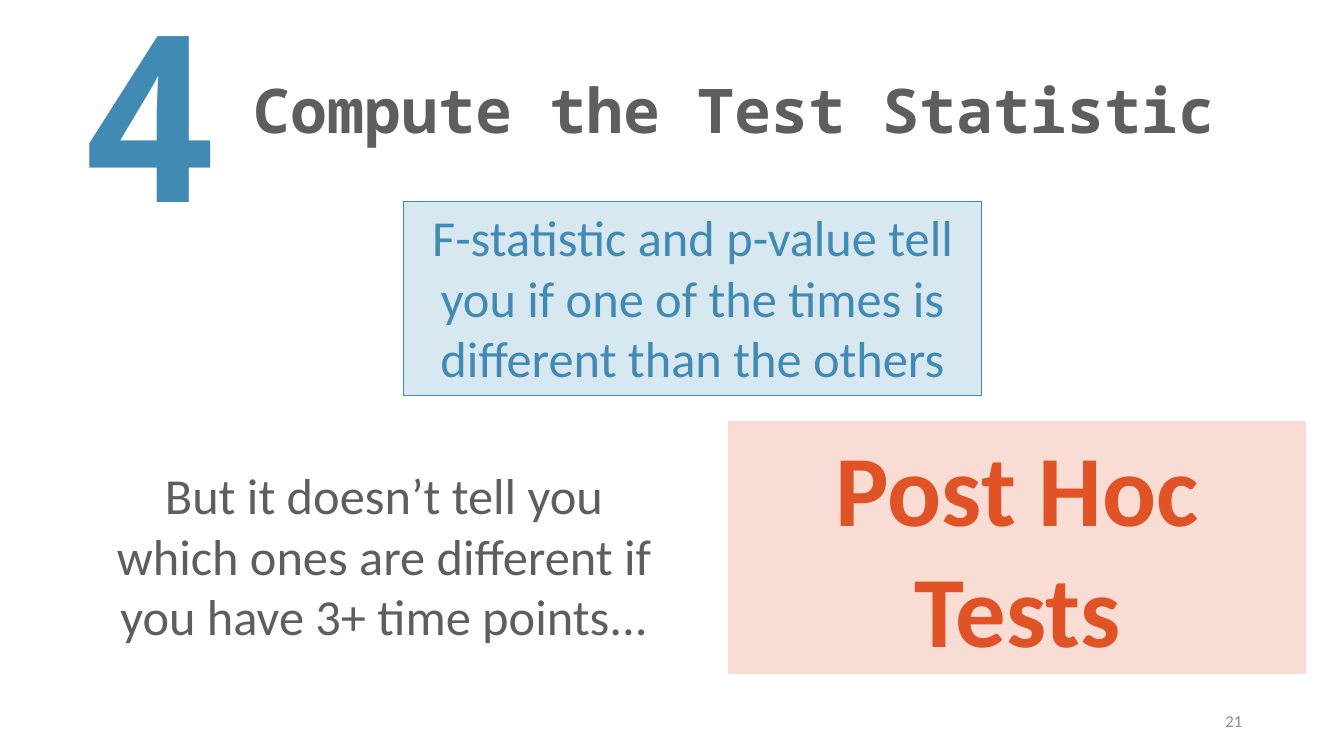
from dataclasses import dataclass

from pptx import Presentation
from pptx.dml.color import RGBColor
from pptx.enum.shapes import MSO_SHAPE
from pptx.enum.text import MSO_ANCHOR, MSO_AUTO_SIZE, PP_ALIGN
from pptx.slide import Slide
from pptx.util import Inches, Pt

COLORS = {
    "white": "FFFFFF",
    "blue": "418AB3",
    "pale_blue": "D8E8F1",
    "orange": "DF5327",
    "pale_orange": "F9DDD4",
    "dark_gray": "5E5E5E",
    "gray": "8C8C8C",
}
BODY_FONT = "Calibri"
HEADING_FONT = "Noto Sans Mono"
CARD_WIDTH = 5.74


@dataclass
class Label:
    text: str
    left: float
    top: float
    width: float
    height: float
    size: float
    color: str
    font: str = BODY_FONT
    bold: bool = False
    align: PP_ALIGN = PP_ALIGN.LEFT
    anchor: MSO_ANCHOR = MSO_ANCHOR.MIDDLE
    wrap: bool = True
    grow: bool = False
    line_spacing: float = 1.0


@dataclass
class Card:
    label: Label
    fill: str
    line: str


def color(name: str) -> RGBColor:
    return RGBColor.from_string(COLORS[name])


def bounds(label: Label) -> list[Inches]:
    return [Inches(n) for n in (label.left, label.top, label.width, label.height)]


def write_label(shape, label: Label) -> None:
    frame = shape.text_frame
    frame.text = label.text
    frame.word_wrap = label.wrap
    frame.auto_size = MSO_AUTO_SIZE.SHAPE_TO_FIT_TEXT if label.grow else MSO_AUTO_SIZE.NONE
    frame.vertical_anchor = label.anchor
    paragraph = frame.paragraphs[0]
    paragraph.alignment = label.align
    paragraph.line_spacing = label.line_spacing
    font = paragraph.runs[0].font
    font.name = label.font
    font.size = Pt(label.size)
    font.bold = label.bold
    font.color.rgb = color(label.color)


def draw_label(slide: Slide, label: Label) -> None:
    write_label(slide.shapes.add_textbox(*bounds(label)), label)


def draw_card(slide: Slide, card: Card) -> None:
    box = slide.shapes.add_shape(MSO_SHAPE.RECTANGLE, *bounds(card.label))
    box.shadow.inherit = False
    box.fill.solid()
    box.fill.fore_color.rgb = color(card.fill)
    box.line.color.rgb = color(card.line)
    box.line.width = Pt(0.75)
    write_label(box, card.label)


def card_label(text: str, left: float, top: float, height: float, size: float,
               text_color: str, bold: bool = False) -> Label:
    return Label(text, left, top, CARD_WIDTH, height, size, text_color, bold=bold,
                 align=PP_ALIGN.CENTER, anchor=MSO_ANCHOR.TOP, grow=True)


# Heading, slide number and step number
LABELS = [
    Label("Compute the Test Statistic", 2.42, 0.4, 10, 1.45, 44, "dark_gray",
          HEADING_FONT, bold=True, line_spacing=0.9),
    Label("21", 9.42, 6.95, 3, 0.4, 12, "gray", align=PP_ALIGN.RIGHT),
    Label("4", 0.7, -0.35, 1.48, 2.89, 166, "blue", HEADING_FONT, bold=True,
          anchor=MSO_ANCHOR.TOP, wrap=False, grow=True),
]

# What the test tells, what it leaves open, and the next step
CARDS = [
    Card(card_label("F-statistic and p-value tell you if one of the times is "
                    "different than the others", 4, 2, 1.92, 36, "blue"),
         "pale_blue", "blue"),
    Card(card_label("But it doesn’t tell you which ones are different if you "
                    "have 3+ time points...", 0.94, 4.56, 1.92, 36, "dark_gray"),
         "white", "white"),
    Card(card_label("Post Hoc Tests", 7.22, 4.17, 2.52, 72, "orange", bold=True),
         "pale_orange", "white"),
]


def main() -> None:
    presentation = Presentation()
    presentation.slide_width = Inches(13.33)
    presentation.slide_height = Inches(7.5)
    slide = presentation.slides.add_slide(presentation.slide_layouts[6])
    for label in LABELS:
        draw_label(slide, label)
    for card in CARDS:
        draw_card(slide, card)
    presentation.save("out.pptx")


if __name__ == "__main__":
    main()
